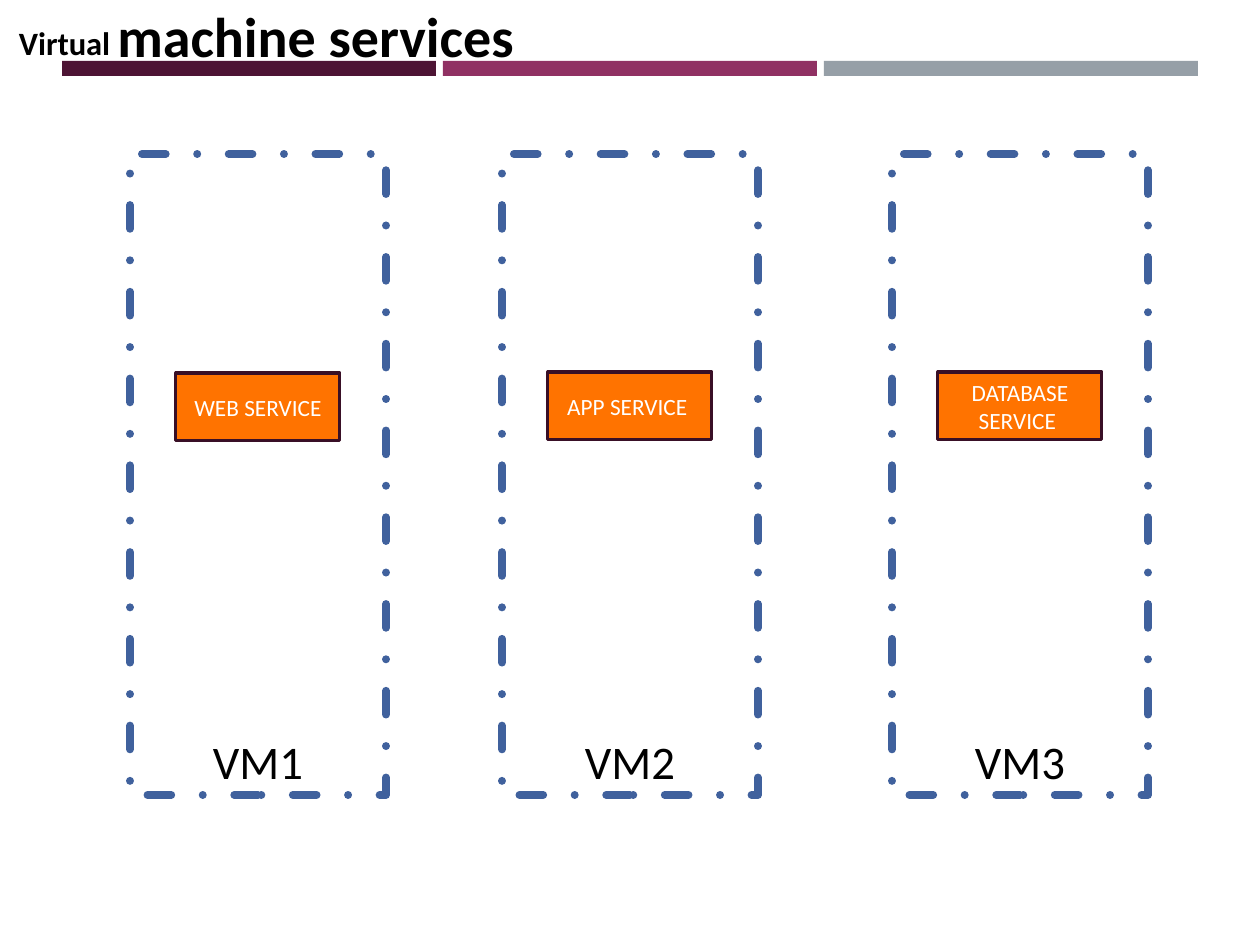
from pptx import Presentation
from pptx.dml.color import RGBColor
from pptx.enum.dml import MSO_LINE
from pptx.enum.shapes import MSO_SHAPE
from pptx.enum.text import MSO_ANCHOR, MSO_AUTO_SIZE, PP_ALIGN
from pptx.util import Emu, Pt

# Content: (text, baseline offset in 1/1000 percent)
TITLE_RUNS = [("Virtual ", "3000"), ("machine services", "0")]
# Machine name, service, left edge of frame, top edge of service box
MACHINES = [
    ("VM1", "WEB SERVICE", 130, 373),
    ("VM2", "APP SERVICE ", 502, 372),
    ("VM3", "DATABASE SERVICE ", 892, 372),
]

COLORS = {
    "bars": ["4D1434", "903163", "969FA7"],
    "white": "FFFFFF",
    "black": "000000",
    "frame": "40619D",
    "service": "FF7300",
    "service_line": "390F26",
}

# Layout in px
PX = 914400 // 126
SLIDE_WIDTH, SLIDE_HEIGHT = 1260, 945
BAR_LEFT, BAR_TOP, BAR_WIDTH, BAR_HEIGHT, BAR_GAP = 62, 61, 374, 15, 7
FRAME_TOP, FRAME_WIDTH, FRAME_HEIGHT = 154, 256, 641
SERVICE_WIDTH, SERVICE_HEIGHT = 164, 68

FRAME_FORMAT = {"color": COLORS["frame"], "width": Pt(4.5), "dash_style": MSO_LINE.DASH_DOT}
SERVICE_FORMAT = {"color": COLORS["service_line"], "width": Pt(1.75)}


def px(value):
    return Emu(value * PX)


def set_font(font, size, color, bold=False):
    values = {"name": "Calibri", "size": Pt(size), "bold": bold}
    for name, value in values.items():
        setattr(font, name, value)
    font.color.rgb = RGBColor.from_string(color)


def add_box(slide, box, fill, line=None):
    shape = slide.shapes.add_shape(MSO_SHAPE.RECTANGLE, *map(px, box))
    shape.shadow.inherit = False
    shape.fill.solid()
    shape.fill.fore_color.rgb = RGBColor.from_string(fill)
    if line is None:
        shape.line.fill.background()
        return shape
    for name, value in line.items():
        if name == "color":
            shape.line.color.rgb = RGBColor.from_string(value)
        else:
            setattr(shape.line, name, value)
    shape.line._get_or_add_ln().set("cap", "rnd")
    return shape


def add_label(shape, text, size, color, anchor):
    frame = shape.text_frame
    frame.word_wrap = True
    frame.vertical_anchor = anchor
    paragraph = frame.paragraphs[0]
    paragraph.alignment = PP_ALIGN.CENTER
    run = paragraph.add_run()
    run.text = text
    set_font(run.font, size, color)


def format_title(title):
    places = {"left": 18, "top": 10, "width": 833, "height": 77}
    for name, value in places.items():
        setattr(title, name, px(value))
    frame = title.text_frame
    settings = {
        "margin_left": 0, "margin_top": 0, "margin_right": 0, "margin_bottom": 0,
        "word_wrap": True, "auto_size": MSO_AUTO_SIZE.NONE,
        "vertical_anchor": MSO_ANCHOR.TOP,
    }
    for name, value in settings.items():
        setattr(frame, name, value)
    paragraph = frame.paragraphs[0]
    spacing = {"alignment": PP_ALIGN.LEFT, "line_spacing": Pt(33.6), "space_before": Pt(1.7)}
    for name, value in spacing.items():
        setattr(paragraph, name, value)
    paragraph._p.get_or_add_pPr().set("marL", str(px(1)))
    for text, baseline in TITLE_RUNS:
        run = paragraph.add_run()
        run.text = text
        set_font(run.font, 32, COLORS["black"], bold=True)
        run.font._element.set("baseline", baseline)


def main():
    presentation = Presentation()
    presentation.slide_width = px(SLIDE_WIDTH)
    presentation.slide_height = px(SLIDE_HEIGHT)
    slide = presentation.slides.add_slide(presentation.slide_layouts[5])
    format_title(slide.shapes.title)

    # Colour bars under the title
    for index, color in enumerate(COLORS["bars"]):
        left = BAR_LEFT + index * (BAR_WIDTH + BAR_GAP)
        add_box(slide, (left, BAR_TOP, BAR_WIDTH, BAR_HEIGHT), color)

    # Virtual machines, each with its service centred across the frame
    for machine, service, left, service_top in MACHINES:
        frame = add_box(slide, (left, FRAME_TOP, FRAME_WIDTH, FRAME_HEIGHT),
                        COLORS["white"], FRAME_FORMAT)
        add_label(frame, machine, 26.7, COLORS["black"], MSO_ANCHOR.BOTTOM)
        service_left = left + (FRAME_WIDTH - SERVICE_WIDTH) // 2
        box = add_box(slide, (service_left, service_top, SERVICE_WIDTH, SERVICE_HEIGHT),
                      COLORS["service"], SERVICE_FORMAT)
        add_label(box, service, 13.3, COLORS["white"], MSO_ANCHOR.MIDDLE)

    presentation.save("out.pptx")


if __name__ == "__main__":
    main()
